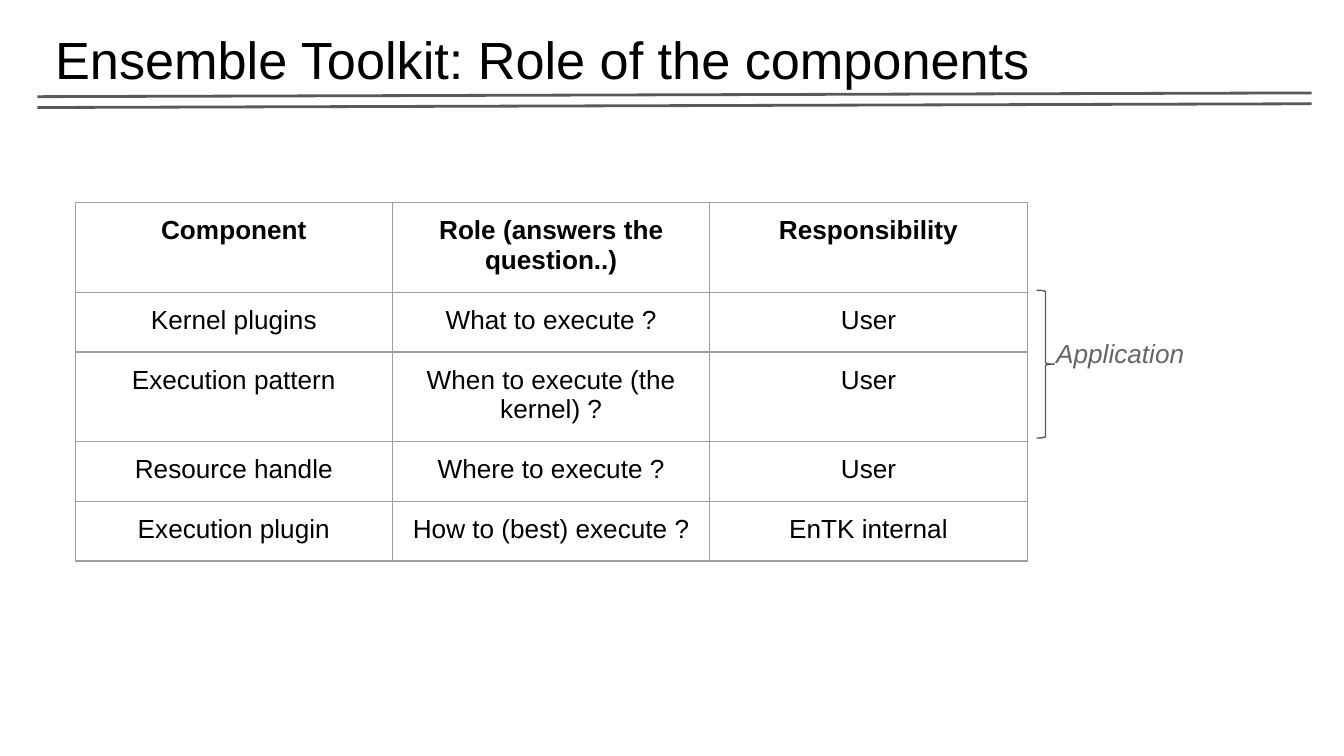
from typing import NamedTuple

from lxml.etree import SubElement
from pptx import Presentation
from pptx.dml.color import RGBColor
from pptx.enum.shapes import MSO_CONNECTOR as Connector, MSO_SHAPE as Shape
from pptx.enum.text import MSO_ANCHOR as Anchor, PP_ALIGN as Align
from pptx.oxml.ns import qn
from pptx.util import Pt

COLORS = {
    "text": "000000",
    "label": "666666",
    "rule": "595959",
    "border": "9E9E9E",
}
FONT = "Arial"
INSET = 7.2


class Box(NamedTuple):
    left: float
    top: float
    width: float
    height: float

    def lengths(self) -> list:
        return [Pt(value) for value in self]


class Style(NamedTuple):
    size: float
    color: str = "text"
    bold: bool = False
    italic: bool = False
    align: Align = Align.LEFT
    spacing: float = 1.0


TITLE = Style(28, spacing=1.1)
LABEL = Style(14, "label", italic=True)
HEADER = Style(14, bold=True, align=Align.CENTER)
BODY = Style(14, align=Align.CENTER)

ROWS = [
    ("Component", "Role (answers the question..)", "Responsibility"),
    ("Kernel plugins", "What to execute ?", "User"),
    ("Execution pattern", "When to execute (the kernel) ?", "User"),
    ("Resource handle", "Where to execute ?", "User"),
    ("Execution plugin", "How to (best) execute ?", "EnTK internal"),
]
COLUMN_WIDTH = 170
HEADER_HEIGHT = 29.5
ROW_HEIGHT = 32


def rgb(name: str) -> RGBColor:
    return RGBColor.from_string(COLORS[name])


def write(frame, text: str, style: Style) -> None:
    frame.word_wrap = True
    para = frame.paragraphs[0]
    para.alignment = style.align
    para.line_spacing = style.spacing
    span = para.add_run()
    span.text = text
    font = span.font
    font.name, font.size = FONT, Pt(style.size)
    font.bold, font.italic = style.bold, style.italic
    font.color.rgb = rgb(style.color)


def set_insets(holder) -> None:
    holder.margin_left = holder.margin_right = Pt(INSET)
    holder.margin_top = holder.margin_bottom = Pt(INSET)


def add_text(page, box: Box, text: str, style: Style) -> None:
    frame = page.shapes.add_textbox(*box.lengths()).text_frame
    frame.vertical_anchor = Anchor.TOP
    set_insets(frame)
    write(frame, text, style)


def add_rule(page, left_y: float, right_y: float) -> None:
    rule = page.shapes.add_connector(
        Connector.STRAIGHT, Pt(20), Pt(left_y), Pt(702.7), Pt(right_y))
    rule.line.color.rgb = rgb("rule")
    rule.line.width = Pt(1.5)
    SubElement(rule._element.spPr, qn("a:effectLst"))


def add_borders(cell) -> None:
    properties = cell._tc.get_or_add_tcPr()
    for side in ("lnL", "lnR", "lnT", "lnB"):
        line = SubElement(properties, qn(f"a:{side}"), w=str(Pt(0.75)))
        fill = SubElement(line, qn("a:solidFill"))
        SubElement(fill, qn("a:srgbClr"), val=COLORS["border"])


def add_roles_table(page, left: float, top: float) -> None:
    heights = [HEADER_HEIGHT] + [ROW_HEIGHT] * (len(ROWS) - 1)
    columns = len(ROWS[0])
    box = Box(left, top, COLUMN_WIDTH * columns, sum(heights))
    table = page.shapes.add_table(len(ROWS), columns, *box.lengths()).table
    table.first_row = table.horz_banding = False
    for column in table.columns:
        column.width = Pt(COLUMN_WIDTH)
    for index, (texts, height) in enumerate(zip(ROWS, heights)):
        table.rows[index].height = Pt(height)
        for cell, text in zip(table.rows[index].cells, texts):
            add_borders(cell)
            cell.fill.background()
            set_insets(cell)
            write(cell.text_frame, text, BODY if index else HEADER)


def add_brace(page, box: Box) -> None:
    brace = page.shapes.add_shape(Shape.RIGHT_BRACE, *box.lengths())
    brace.adjustments[0] = 0.08
    brace.adjustments[1] = 0.5
    brace.shadow.inherit = False
    brace.fill.background()
    brace.line.color.rgb = rgb("rule")
    brace.line.width = Pt(0.75)


def main() -> None:
    deck = Presentation()
    deck.slide_width, deck.slide_height = Pt(720), Pt(405)
    page = deck.slides.add_slide(deck.slide_layouts[6])
    add_text(page, Box(22.5, 4.3, 676.8, 41),
             "Ensemble Toolkit: Role of the components", TITLE)
    for left_y in (57.6, 51.8):
        add_rule(page, left_y, left_y - 2)
    add_roles_table(page, 40.3, 108.5)
    add_brace(page, Box(555.4, 155.5, 9.4, 79.2))
    add_text(page, Box(558.7, 173.5, 87.1, 22.3), "Application", LABEL)
    deck.save("out.pptx")


if __name__ == "__main__":
    main()
